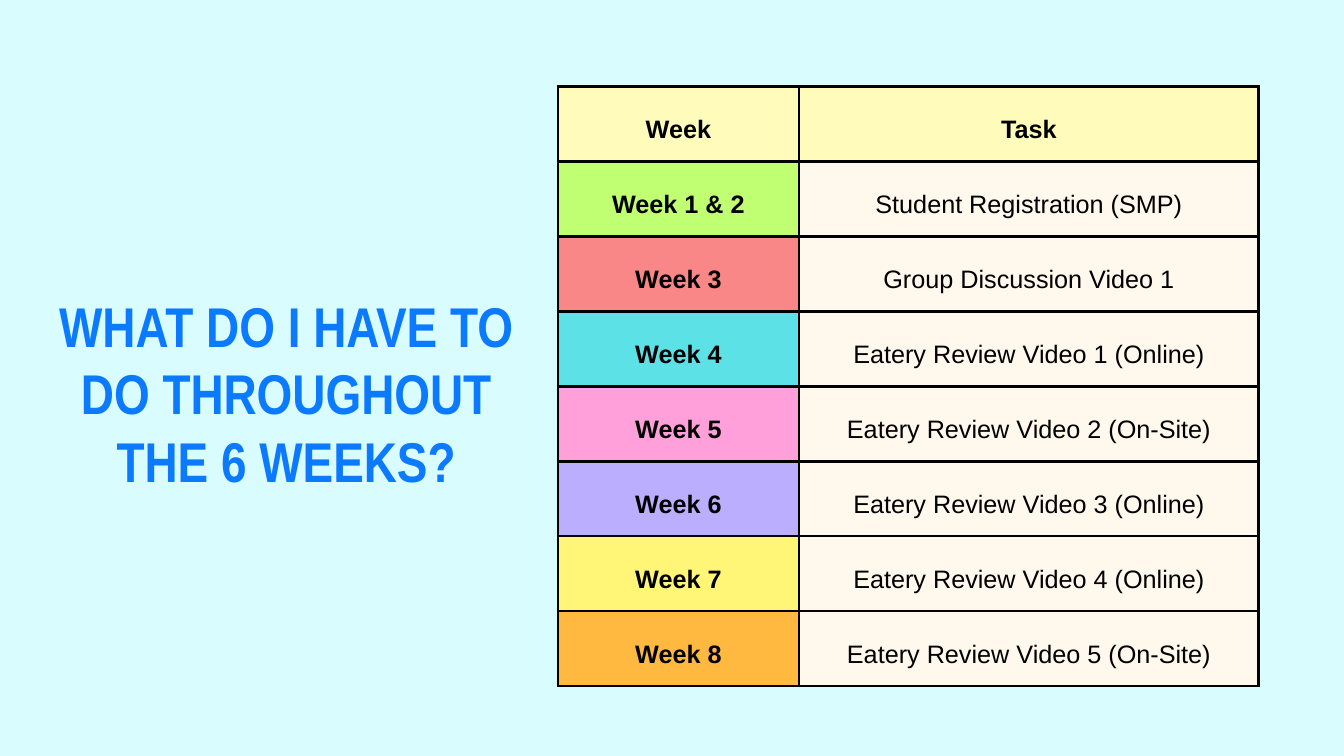
from typing import Any, NamedTuple

from lxml.etree import SubElement as Sub
from pptx import Presentation
from pptx.dml.color import RGBColor as Rgb
from pptx.enum.text import MSO_ANCHOR as Anchor, MSO_AUTO_SIZE as Fit, PP_ALIGN as Align
from pptx.oxml.ns import qn
from pptx.util import Inches, Pt

HUES = {
    "back": "D9FDFF", "title": "0C7AFF", "ink": "000000",
    "head": "FFFCBB", "task": "FFF8ED", "lime": "C1FF72",
    "coral": "FA8787", "aqua": "5CE1E6", "pink": "FFA0DA",
    "lilac": "BBAEFF", "lemon": "FFF678", "amber": "FFB941",
}
SIDES = ("left", "right", "top", "bottom")


class Row(NamedTuple):
    week: str
    task: str
    hue: str


ROWS = [
    Row("Week", "Task", "head"),
    Row("Week 1 & 2", "Student Registration (SMP)", "lime"),
    Row("Week 3", "Group Discussion Video 1", "coral"),
    Row("Week 4", "Eatery Review Video 1 (Online)", "aqua"),
    Row("Week 5", "Eatery Review Video 2 (On-Site)", "pink"),
    Row("Week 6", "Eatery Review Video 3 (Online)", "lilac"),
    Row("Week 7", "Eatery Review Video 4 (Online)", "lemon"),
    Row("Week 8", "Eatery Review Video 5 (On-Site)", "amber"),
]


def color(name: str) -> Rgb:
    return Rgb.from_string(HUES[name])


def apply(item: Any, values: dict[str, Any]) -> None:
    for key, value in values.items():
        setattr(item, key, value)


def write(frame: Any, text: str, hue: str, style: dict[str, Any]) -> Any:
    para = frame.paragraphs[0]
    para.alignment = Align.CENTER
    run = para.add_run()
    run.text = text
    apply(run.font, style)
    run.font.color.rgb = color(hue)
    return para


def border(cell: Any) -> None:
    props = cell._tc.get_or_add_tcPr()
    for spot, side in enumerate("LRTB"):
        line = Sub(props, qn(f"a:ln{side}"), w=str(Pt(3)))
        fill = Sub(line, qn("a:solidFill"))
        Sub(fill, qn("a:srgbClr"), val=HUES["ink"])
        props.insert(spot, line)


def paint(cell: Any, text: str, hue: str, bold: bool) -> None:
    apply(cell, {f"margin_{side}": Inches(0.21) for side in SIDES})
    cell.vertical_anchor = Anchor.MIDDLE
    cell.fill.solid()
    cell.fill.fore_color.rgb = color(hue)
    border(cell)
    style = {"name": "Arial", "size": Pt(27), "bold": bold}
    write(cell.text_frame, text, "ink", style).line_spacing = 1.4


def grid(slide: Any) -> None:
    box = [Inches(n) for n in (8.3, 1.29, 10.43, 8.92)]
    table = slide.shapes.add_table(len(ROWS), 2, *box).table
    for col, width in zip(table.columns, (3.59, 6.84)):
        col.width = Inches(width)
    for i, row in enumerate(ROWS):
        head = row.hue == "head"
        paint(table.cell(i, 0), row.week, row.hue, True)
        paint(table.cell(i, 1), row.task, "head" if head else "task", head)


def title(slide: Any, text: str) -> None:
    box = [Inches(n) for n in (0.59, 4.34, 7.34, 3.03)]
    frame = slide.shapes.add_textbox(*box).text_frame
    apply(frame, {f"margin_{side}": Inches(0) for side in SIDES})
    apply(frame, {"word_wrap": True, "auto_size": Fit.SHAPE_TO_FIT_TEXT})
    style = {"name": "Arial Narrow", "size": Pt(60), "bold": True}
    write(frame, text, "title", style)


def main() -> None:
    deck = Presentation()
    apply(deck, {"slide_width": Inches(20), "slide_height": Inches(11.25)})
    slide = deck.slides.add_slide(deck.slide_layouts[6])
    slide.background.fill.solid()
    slide.background.fill.fore_color.rgb = color("back")
    grid(slide)
    title(slide, "WHAT DO I HAVE TO DO THROUGHOUT THE 6 WEEKS?")
    deck.save("out.pptx")


if __name__ == "__main__":
    main()
